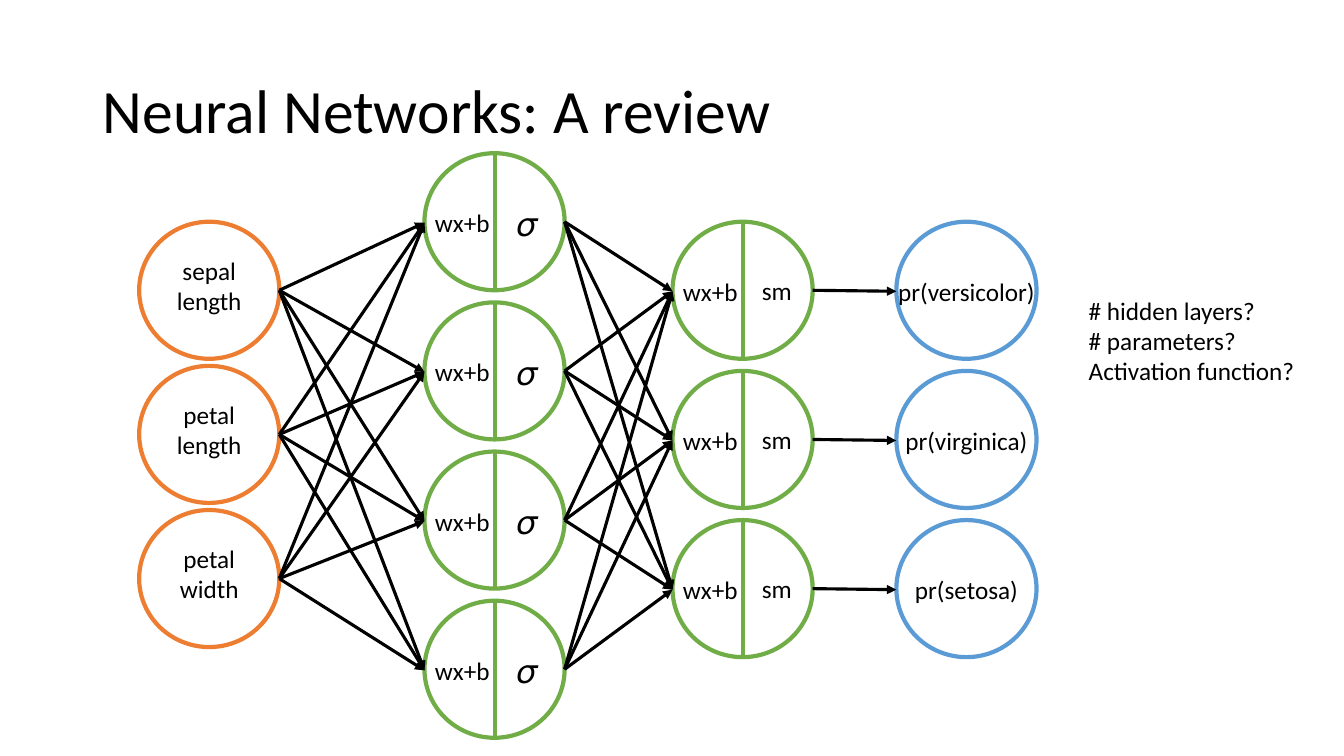
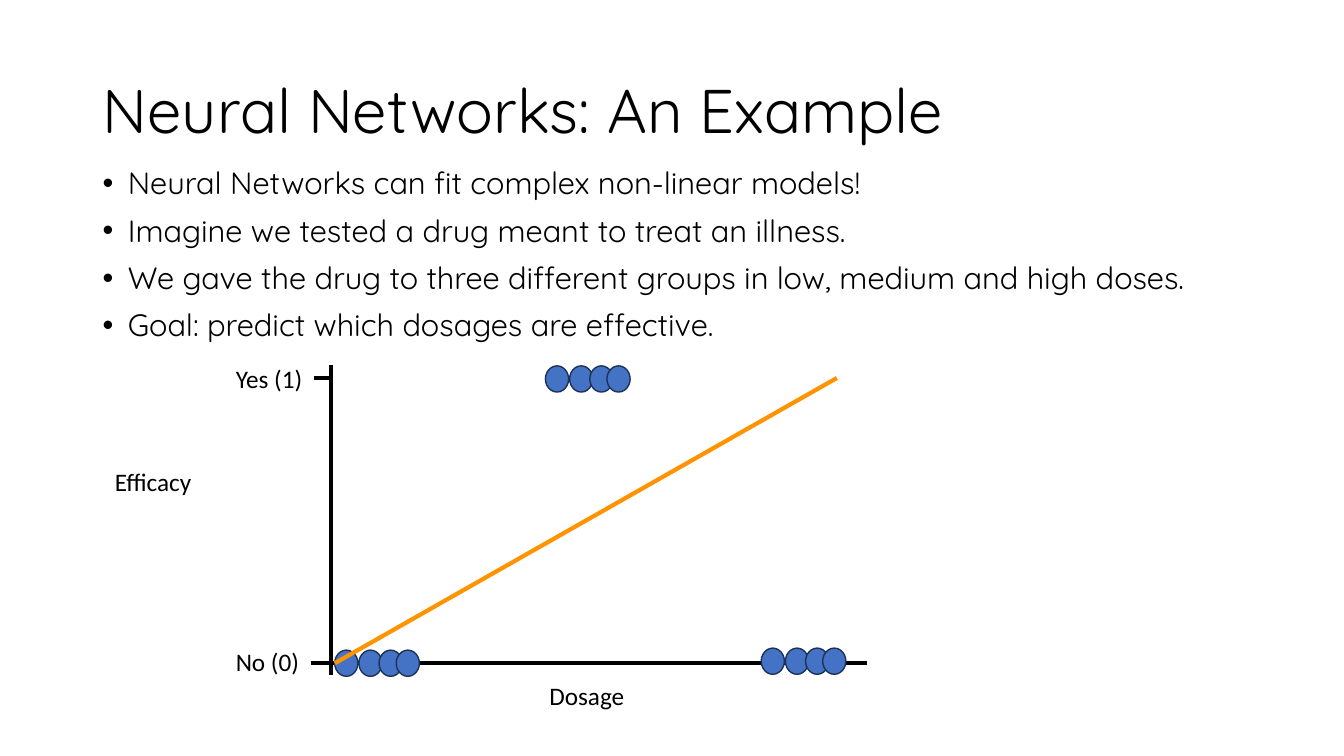
from lxml.etree import SubElement
from pptx import Presentation
from pptx.dml.color import RGBColor
from pptx.enum.shapes import MSO_CONNECTOR, MSO_SHAPE
from pptx.enum.text import MSO_ANCHOR as Anchor, PP_ALIGN as Align
from pptx.oxml.ns import qn
from pptx.util import Pt

PX = 9144
COLORS = {
    "ink": "000000",
    "input": "ED7D31",
    "neuron": "70AD47",
    "output": "5B9BD5",
    "dot": "4472C4",
    "dot_edge": "1E3256",
    "fit": "FF9300",
}
LABEL_FONT = {"name": "Calibri", "size": Pt(18)}
SIGMA_FONT = {"name": "Calibri", "size": Pt(24)}
TITLE_SIZE = Pt(44)
BULLET_FONT = {"name": "Quicksand", "size": Pt(22)}
CENTERED = {"alignment": Align.CENTER}
LEFT = {"alignment": Align.LEFT}
TITLE_PARA = {"alignment": Align.LEFT, "line_spacing": 0.9}
BULLET_PARA = {**TITLE_PARA, "space_before": Pt(10)}
NO_SIDE_MARGINS = {"margin_left": 0, "margin_right": 0}
NODE_W, NODE_H = 139, 136
DOT_W, DOT_H = 23, 26


def px(*lengths):
    return [length * PX for length in lengths]


def color(name):
    return RGBColor.from_string(COLORS[name])


def apply(target, values):
    for name, value in values.items():
        setattr(target, name, value)


def write(frame, lines, font, para_format):
    frame.text = "\n".join(lines)
    for para in frame.paragraphs:
        apply(para, para_format)
        for span in para.runs:
            apply(span.font, font)
            span.font.color.rgb = color("ink")


def add_page(deck, title, font_name):
    page = deck.slides.add_slide(deck.slide_layouts[5])
    box = page.shapes.title
    apply(box, dict(zip(("left", "top", "width", "height"), px(92, 40, 1150, 145))))
    box.text_frame.vertical_anchor = Anchor.MIDDLE
    write(box.text_frame, [title], {"name": font_name, "size": TITLE_SIZE}, TITLE_PARA)
    return page


def add_text(page, at, lines, font=LABEL_FONT, para_format=LEFT, wrap=False):
    box = page.shapes.add_textbox(*px(*at))
    box.text_frame.word_wrap = wrap
    write(box.text_frame, lines, font, para_format)
    return box


def add_bullets(page, at, lines):
    box = add_text(page, at, lines, BULLET_FONT, BULLET_PARA, wrap=True)
    for para in box.text_frame.paragraphs:
        properties = para._p.get_or_add_pPr()
        properties.set("marL", str(25 * PX))
        properties.set("indent", str(-25 * PX))
        SubElement(properties, qn("a:buFont"), typeface="Arial")
        SubElement(properties, qn("a:buChar"), char="•")


def add_ellipse(page, at, line, weight, fill=None):
    shape = page.shapes.add_shape(MSO_SHAPE.OVAL, *px(*at))
    shape.shadow.inherit = False
    if fill:
        shape.fill.solid()
        shape.fill.fore_color.rgb = color(fill)
    else:
        shape.fill.background()
    shape.line.color.rgb = color(line)
    shape.line.width = Pt(weight)


def add_line(page, start, end, line="ink", weight=3.0):
    connector = page.shapes.add_connector(MSO_CONNECTOR.STRAIGHT, *px(*start, *end))
    connector.line.color.rgb = color(line)
    connector.line.width = Pt(weight)
    SubElement(connector._element.spPr, qn("a:effectLst"))
    return connector


def add_arrow(page, start, box):
    end = (box.left // PX, (box.top + box.height // 2) // PX)
    connector = add_line(page, start, end, weight=2.25)
    SubElement(connector.line._get_or_add_ln(), qn("a:tailEnd"), type="triangle")
    connector.end_connect(box, 1)


def add_node(page, left, top, line, lines, label_top, label_height):
    add_ellipse(page, (left, top, NODE_W, NODE_H), line, 3)
    at = (left, top + label_top, NODE_W, label_height)
    label = add_text(page, at, lines, para_format=CENTERED)
    apply(label.text_frame, NO_SIDE_MARGINS)
    return label


def add_neuron(page, left, top, activation, place, font):
    add_ellipse(page, (left, top, NODE_W, NODE_H), "neuron", 3)
    label = add_text(page, (left, top + 49, 75, 40), ["wx+b"], para_format=CENTERED)
    middle = left + NODE_W // 2 + 1
    add_line(page, (middle, top), (middle, top + NODE_H), "neuron", 2.25)
    x, y, width, height = place
    add_text(page, (left + x, top + y, width, height), [activation], font, CENTERED)
    return label


def layer_tops(first, step, count):
    return [first + step * index for index in range(count)]


def right_sides(left, tops):
    return [(left + NODE_W, top + NODE_H // 2) for top in tops]


def connect_all(page, starts, boxes):
    for start in starts:
        for box in boxes:
            add_arrow(page, start, box)


def build_review(deck):
    page = add_page(deck, "Neural Networks: A review", "Calibri")
    features = [("sepal", "length"), ("petal", "length"), ("petal", "width")]
    classes = ["pr(versicolor)", "pr(virginica)", "pr(setosa)"]
    input_tops = layer_tops(220, 143, 3)
    hidden_tops = layer_tops(152, 148, 4)
    output_tops = layer_tops(220, 148, 3)

    for top, feature in zip(input_tops, features):
        add_node(page, 138, top, "input", feature, 28, 71)
    hidden = [add_neuron(page, 421, top, "𝜎", (82, 44, 40, 50), SIGMA_FONT)
              for top in hidden_tops]
    softmax = [add_neuron(page, 667, top, "sm", (75, 48, 57, 40), LABEL_FONT)
               for top in output_tops]
    results = [add_node(page, 889, top, "output", [name], 49, 40)
               for top, name in zip(output_tops, classes)]

    connect_all(page, right_sides(138, input_tops), hidden)
    connect_all(page, right_sides(421, hidden_tops), softmax)
    for start, box in zip(right_sides(667, output_tops), results):
        add_arrow(page, start, box)
    add_text(page, (1070, 288, 227, 131),
             ["# hidden layers?", "# parameters?", "Activation function?"])


def build_example(deck):
    page = add_page(deck, "Neural Networks: An Example", "Quicksand")
    add_bullets(page, (92, 162, 1150, 213), [
        "Neural Networks can fit complex non-linear models!",
        "Imagine we tested a drug meant to treat an illness.",
        "We gave the drug to three different groups in low, medium and high doses.",
        "Goal: predict which dosages are effective.",
    ])
    for start, end in [((328, 362), (328, 670)), ((860, 658), (308, 658)),
                       ((328, 375), (311, 375))]:
        add_line(page, start, end)
    for left, top, width, label in [(224, 636, 84, "No (0)"), (224, 356, 87, "Yes (1)"),
                                    (104, 458, 97, "Efficacy"), (535, 670, 95, "Dosage")]:
        add_text(page, (left, top, width, 40), [label])
    for left, top in [(332, 645), (541, 363), (755, 643)]:
        for offset in (0, 24, 44, 61):
            add_ellipse(page, (left + offset, top, DOT_W, DOT_H), "dot_edge", 1, "dot")
    add_line(page, (332, 658), (830, 375), "fit")


def main():
    deck = Presentation()
    deck.slide_width, deck.slide_height = px(1333, 750)
    build_review(deck)
    build_example(deck)
    deck.save("out.pptx")


if __name__ == "__main__":
    main()
